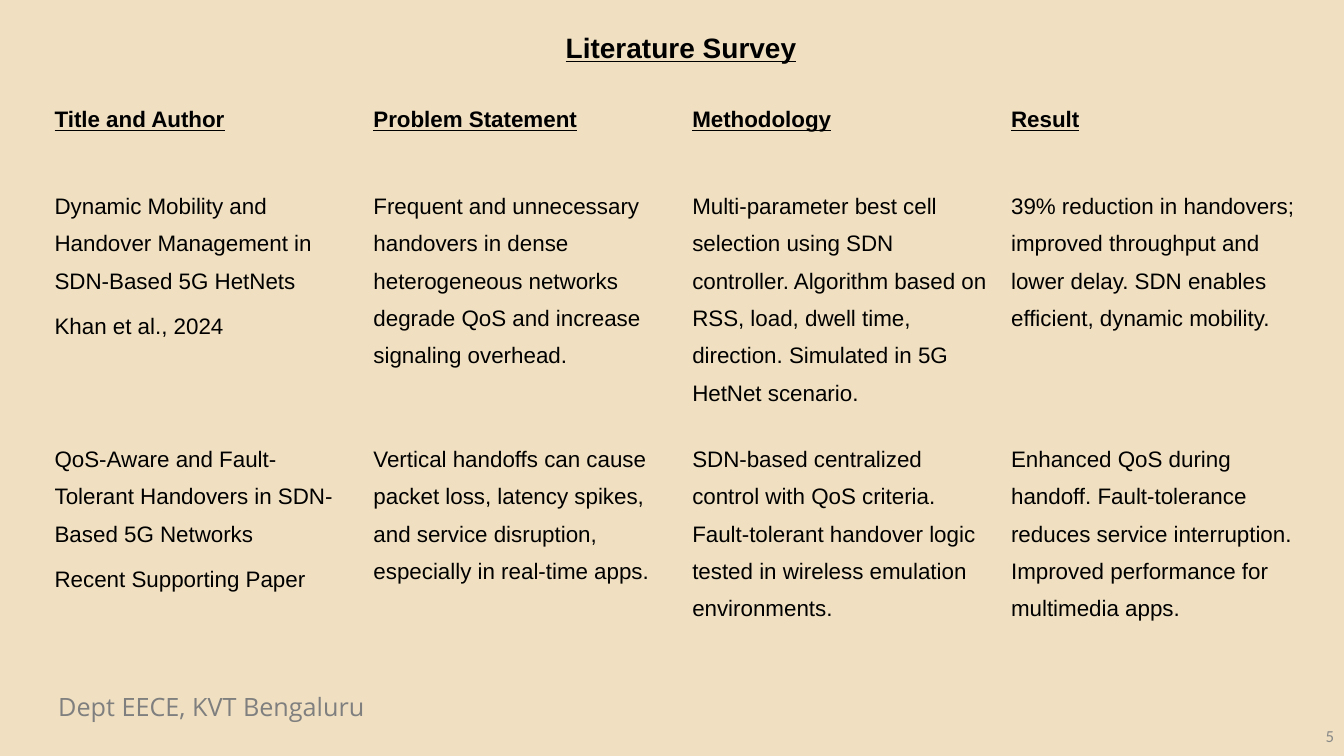
from dataclasses import dataclass

import pptx
import pptx.dml.color
import pptx.enum.text
import pptx.util

Pt = pptx.util.Pt
Align = pptx.enum.text.PP_ALIGN
Anchor = pptx.enum.text.MSO_ANCHOR

COLORS = {"sand": "F0E0C1", "ink": "000000", "footer": "7F7F7F", "number": "888888"}
NO_STYLE_NO_GRID = "{2D5ABB26-0587-4C30-8999-92F81FD0307C}"


@dataclass(frozen=True)
class TextStyle:
    font: str
    size: float
    color: str
    heading: bool = False  # bold and underlined


@dataclass(frozen=True)
class Box:
    left: float
    top: float
    width: float
    height: float

    def in_points(self) -> tuple:
        return Pt(self.left), Pt(self.top), Pt(self.width), Pt(self.height)


@dataclass(frozen=True)
class Caption:
    text: str
    box: Box
    style: TextStyle
    align: Align
    anchor: Anchor


@dataclass(frozen=True)
class Paper:
    title: str
    author: str
    problem: str
    methodology: str
    result: str

    def cells(self) -> list[list[str]]:
        return [[self.title, self.author], [self.problem], [self.methodology], [self.result]]


TITLE = TextStyle("Arial", 20, "ink", heading=True)
HEADER = TextStyle("Arial", 16, "ink", heading=True)
BODY = TextStyle("Arial", 16, "ink")

TITLE_BOX = Box(31, 18, 911, 31.5)
SURVEY_BOX = Box(31, 64, 911, 406)
ROW_HEIGHTS = [62, 167, 167]
COLUMNS = ["Title and Author", "Problem Statement", "Methodology", "Result"]

PAPERS = [
    Paper(
        "Dynamic Mobility and Handover Management in SDN-Based 5G HetNets",
        "Khan et al., 2024",
        "Frequent and unnecessary handovers in dense heterogeneous networks degrade QoS "
        "and increase signaling overhead.",
        "Multi-parameter best cell selection using SDN controller. Algorithm based on RSS, "
        "load, dwell time, direction. Simulated in 5G HetNet scenario.",
        "39% reduction in handovers; improved throughput and lower delay. SDN enables "
        "efficient, dynamic mobility.",
    ),
    Paper(
        "QoS-Aware and Fault-Tolerant Handovers in SDN-Based 5G Networks",
        "Recent Supporting Paper",
        "Vertical handoffs can cause packet loss, latency spikes, and service disruption, "
        "especially in real-time apps.",
        "SDN-based centralized control with QoS criteria. Fault-tolerant handover logic "
        "tested in wireless emulation environments.",
        "Enhanced QoS during handoff. Fault-tolerance reduces service interruption. "
        "Improved performance for multimedia apps.",
    ),
]

CAPTIONS = [
    Caption("Dept EECE, KVT Bengaluru", Box(34.5, 490.5, 377, 29),
            TextStyle("Open Sans", 18, "footer"), Align.LEFT, Anchor.TOP),
    Caption("5", Box(744, 511, 216, 29),
            TextStyle("Calibri", 12, "number"), Align.RIGHT, Anchor.MIDDLE),
]


def rgb(name: str) -> pptx.dml.color.RGBColor:
    return pptx.dml.color.RGBColor.from_string(COLORS[name])


def apply_style(paragraph, style: TextStyle) -> None:
    font = paragraph.font
    font.name, font.size = style.font, Pt(style.size)
    font.bold = font.underline = style.heading
    font.color.rgb = rgb(style.color)


def add_title(slide, text: str) -> None:
    title = slide.shapes.title
    title.left, title.top, title.width, title.height = TITLE_BOX.in_points()
    frame = title.text_frame
    frame.text = text
    frame.vertical_anchor = Anchor.TOP
    paragraph = frame.paragraphs[0]
    paragraph.alignment = Align.CENTER
    apply_style(paragraph, TITLE)


def add_caption(slide, caption: Caption) -> None:
    frame = slide.shapes.add_textbox(*caption.box.in_points()).text_frame
    frame.word_wrap = True
    frame.vertical_anchor = caption.anchor
    frame.text = caption.text
    paragraph = frame.paragraphs[0]
    paragraph.alignment = caption.align
    apply_style(paragraph, caption.style)


def fill_cell(cell, lines: list[str], style: TextStyle) -> None:
    cell.fill.background()
    cell.margin_left = cell.margin_right = Pt(8)
    cell.margin_top = cell.margin_bottom = Pt(4)
    cell.text_frame.text = "\n".join(lines)
    for paragraph in cell.text_frame.paragraphs:
        paragraph.line_spacing = 1.5
        paragraph.space_after = Pt(6)
        apply_style(paragraph, style)


def add_survey(slide) -> None:
    rows = [[[name] for name in COLUMNS]] + [paper.cells() for paper in PAPERS]
    survey_frame = slide.shapes.add_table(len(rows), len(COLUMNS), *SURVEY_BOX.in_points())
    survey = survey_frame.table
    survey.horz_banding = False
    survey_frame.element.xpath(".//a:tableStyleId")[0].text = NO_STYLE_NO_GRID
    for index, (cells, height) in enumerate(zip(rows, ROW_HEIGHTS)):
        survey.rows[index].height = Pt(height)
        for column, lines in enumerate(cells):
            fill_cell(survey.cell(index, column), lines, BODY if index else HEADER)
    # The frame is taller than its rows, which share the extra height
    survey_frame.height = Pt(SURVEY_BOX.height)


def main() -> None:
    deck = pptx.Presentation()
    deck.slide_width, deck.slide_height = Pt(960), Pt(540)
    slide = deck.slides.add_slide(deck.slide_layouts.get_by_name("Title Only"))

    # Background
    slide.background.fill.solid()
    slide.background.fill.fore_color.rgb = rgb("sand")

    # Footer and slide number
    for caption in CAPTIONS:
        add_caption(slide, caption)

    # Survey table and title
    add_survey(slide)
    add_title(slide, "Literature Survey")
    deck.save("out.pptx")


if __name__ == "__main__":
    main()
